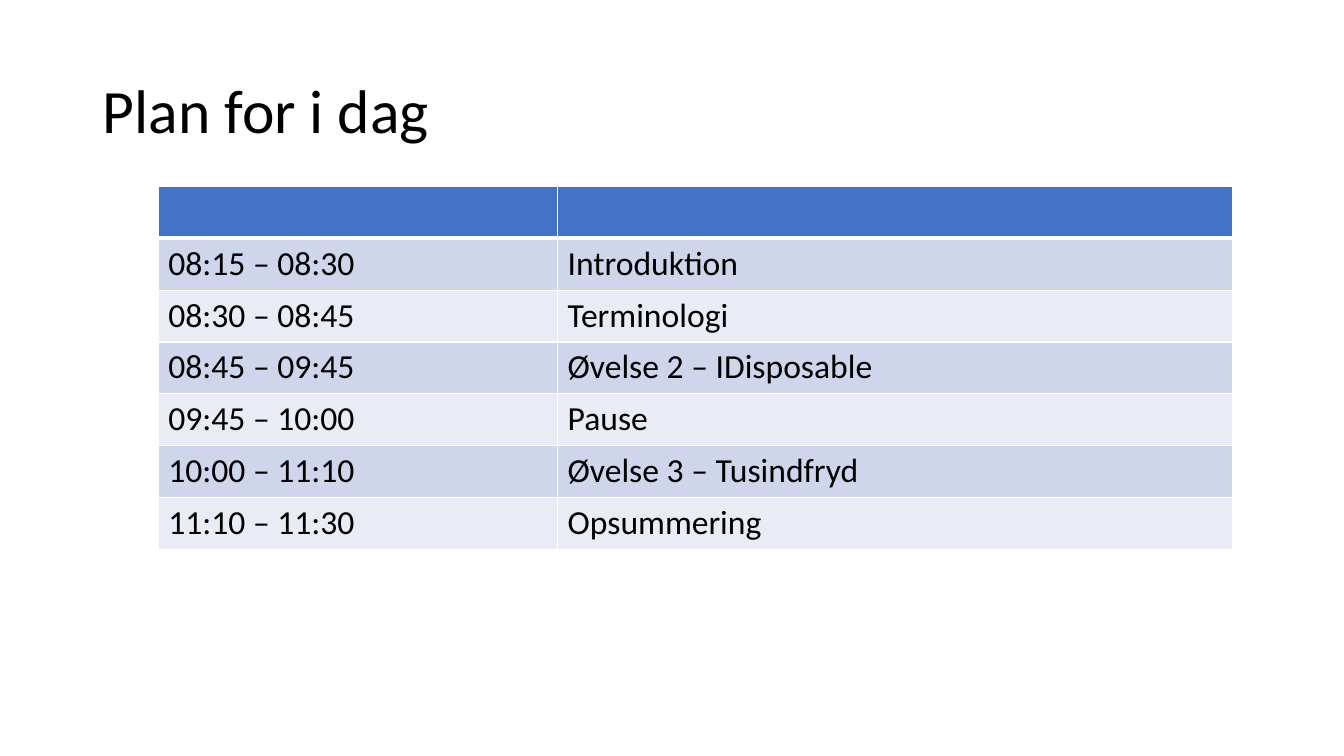
from lxml import etree
from pptx import Presentation
from pptx import util as u
from pptx.dml.color import RGBColor
from pptx.enum import text
from pptx.oxml.ns import qn

FONT = "Calibri"
INK, WHITE = "000000", "FFFFFF"
HEADER_FILL = "4472C4"
BAND_FILLS = ("CFD5EA", "E9EBF5")
COLUMN_WIDTHS = (3.96, 6.7)
ROW_HEIGHT = 3.6 / 7
PLAN = (
    ("", ""),
    ("08:15 – 08:30", "Introduktion"),
    ("08:30 – 08:45", "Terminologi"),
    ("08:45 – 09:45", "Øvelse 2 – IDisposable"),
    ("09:45 – 10:00", "Pause"),
    ("10:00 – 11:10", "Øvelse 3 – Tusindfryd"),
    ("11:10 – 11:30", "Opsummering"),
)


def color(value):
    return RGBColor.from_string(value)


def style_runs(paragraph, size):
    for run in paragraph.runs:
        run.font.name = FONT
        run.font.size = u.Pt(size)
        run.font.bold = False
        run.font.color.rgb = color(INK)


def set_title(slide, wording):
    title = slide.shapes.title
    title.left, title.top = u.Inches(0.92), u.Inches(0.4)
    title.width, title.height = u.Inches(11.5), u.Inches(1.45)
    frame = title.text_frame
    frame.text = wording
    frame.word_wrap = True
    frame.auto_size = text.MSO_AUTO_SIZE.NONE
    frame.vertical_anchor = text.MSO_ANCHOR.MIDDLE
    paragraph = frame.paragraphs[0]
    paragraph.alignment = text.PP_ALIGN.LEFT
    paragraph.line_spacing = 0.9
    style_runs(paragraph, 44)


def set_borders(cell, widths):
    properties = cell._tc.get_or_add_tcPr()
    for position, (side, width) in enumerate(widths.items()):
        line = etree.Element(qn(f"a:ln{side}"), w=str(u.Pt(width)))
        fill = etree.SubElement(line, qn("a:solidFill"))
        etree.SubElement(fill, qn("a:srgbClr"), val=WHITE)
        properties.insert(position, line)


def fill_cell(cell, wording, row):
    cell.fill.solid()
    cell.fill.fore_color.rgb = color(BAND_FILLS[(row - 1) % 2] if row else HEADER_FILL)
    set_borders(cell, {"L": 1, "R": 1, "T": 3 if row == 1 else 1, "B": 1 if row else 3})
    if wording:
        cell.text_frame.text = wording
        style_runs(cell.text_frame.paragraphs[0], 24)


def add_plan(slide):
    schedule = slide.shapes.add_table(
        len(PLAN), len(COLUMN_WIDTHS), u.Inches(1.57), u.Inches(1.85),
        u.Inches(sum(COLUMN_WIDTHS)), u.Inches(ROW_HEIGHT * len(PLAN))).table
    for column, width in zip(schedule.columns, COLUMN_WIDTHS):
        column.width = u.Inches(width)
    for row, entries in enumerate(PLAN):
        schedule.rows[row].height = u.Inches(ROW_HEIGHT)
        for column, wording in enumerate(entries):
            fill_cell(schedule.cell(row, column), wording, row)


def main():
    deck = Presentation()
    deck.slide_width, deck.slide_height = u.Inches(13.33), u.Inches(7.5)
    slide = deck.slides.add_slide(deck.slide_layouts[5])
    set_title(slide, "Plan for i dag")
    add_plan(slide)
    deck.save("out.pptx")


if __name__ == "__main__":
    main()
